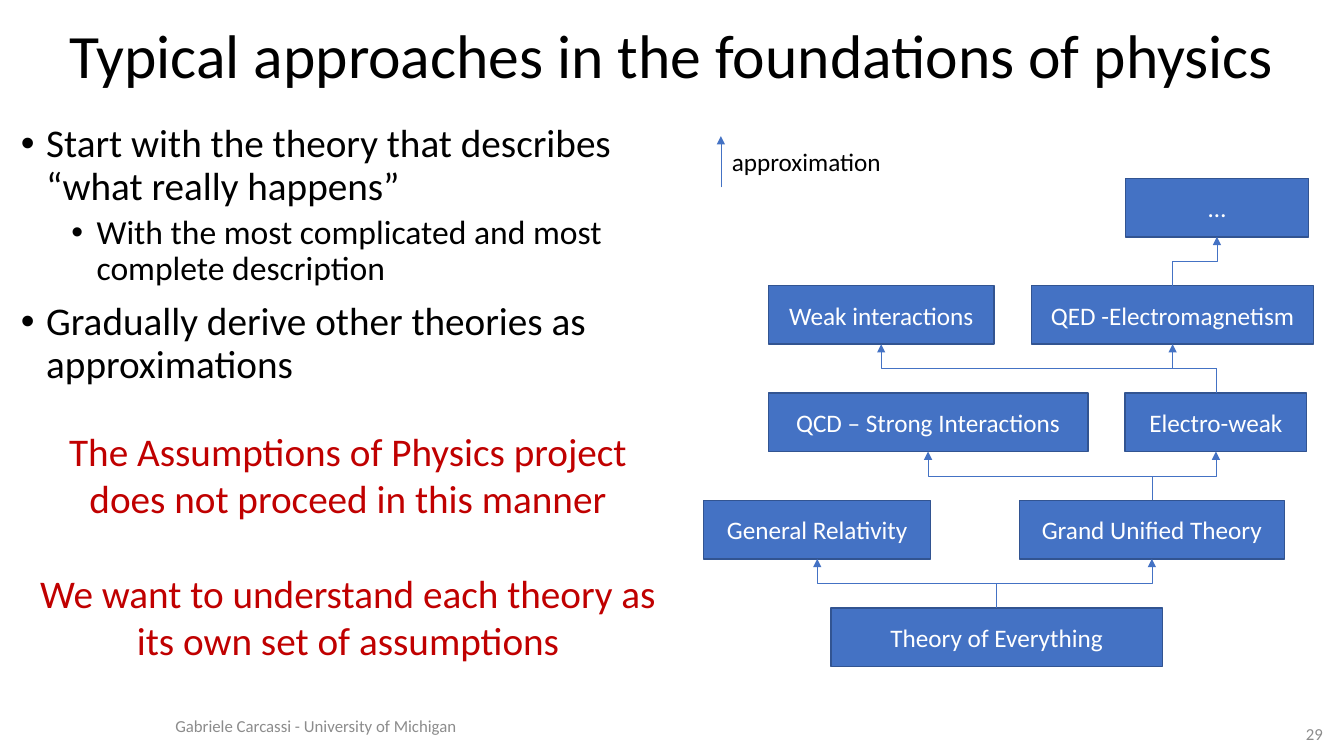
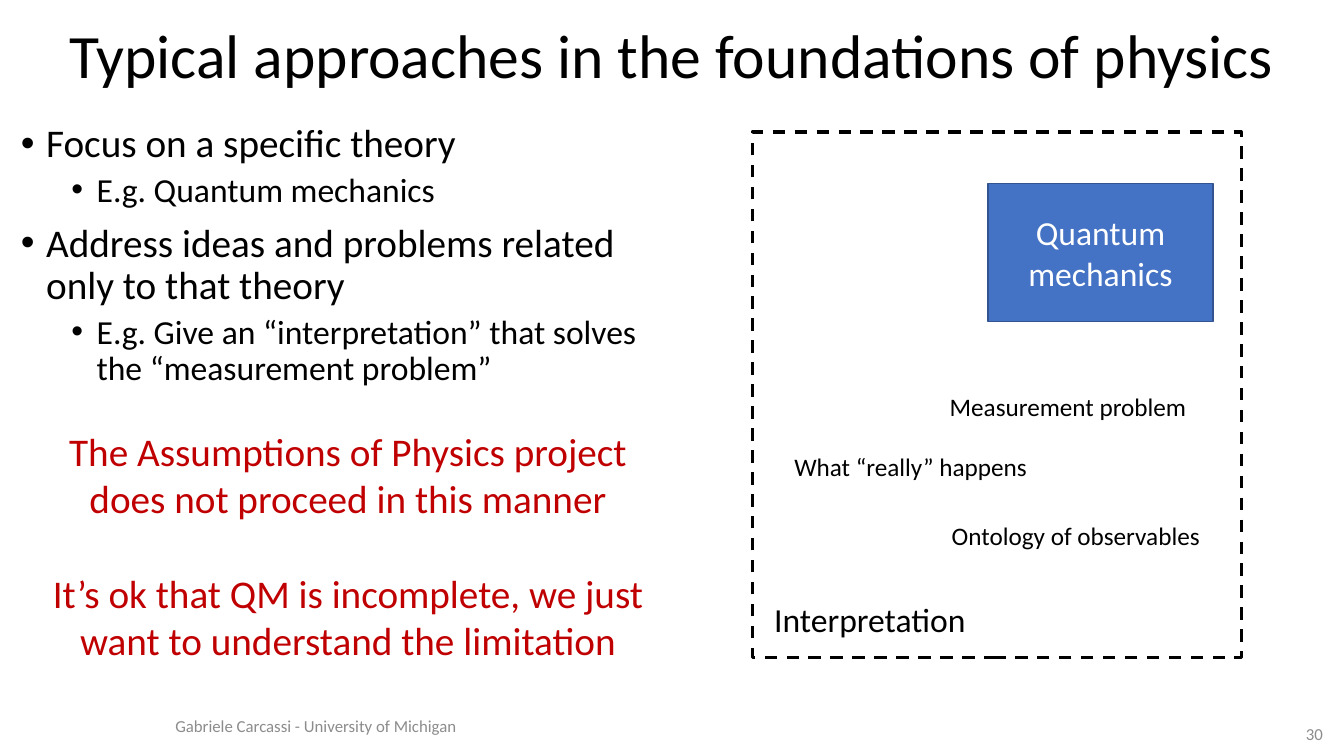
"""Build two slides on typical approaches in the foundations of physics."""
from lxml.etree import SubElement
from pptx import Presentation
from pptx.dml.color import RGBColor
from pptx.enum.dml import MSO_LINE
from pptx.enum.shapes import MSO_CONNECTOR, MSO_SHAPE
from pptx.enum.text import MSO_ANCHOR, PP_ALIGN
from pptx.oxml.ns import qn
from pptx.util import Inches, Pt

COLORS = {"black": "000000", "white": "FFFFFF", "blue": "4472C4",
          "edge": "325491", "red": "C00000", "grey": "8C8C8C"}
FONT = "Calibri"
TITLE = "Typical approaches in the foundations of physics"
FOOTER = "Gabriele Carcassi - University of Michigan"
REMARK = "The Assumptions of Physics project does not proceed in this manner"

DERIVATION = {
    "number": "29",
    "bullets": [
        (0, "Start with the theory that describes “what really happens”"),
        (1, "With the most complicated and most complete description"),
        (0, "Gradually derive other theories as approximations"),
    ],
    "aim": "We want to understand each theory as its own set of assumptions",
}
INTERPRETATION = {
    "number": "30",
    "bullets": [
        (0, "Focus on a specific theory"),
        (1, "E.g. Quantum mechanics"),
        (0, "Address ideas and problems related only to that theory"),
        (1, "E.g. Give an “interpretation” that solves the “measurement problem”"),
    ],
    "aim": "It’s ok that QM is incomplete, we just want to understand the limitation",
}

# name: (level above the bottom, left, width)
THEORIES = {
    "Theory of Everything": (0, 8.24, 3.29),
    "General Relativity": (1, 6.98, 2.25),
    "Grand Unified Theory": (1, 10.11, 2.63),
    "Electro-weak": (2, 11.16, 1.8),
    "QCD – Strong Interactions": (2, 7.62, 3.17),
    "QED -Electromagnetism": (3, 10.23, 2.8),
    "Weak interactions": (3, 7.62, 2.24),
    "…": (4, 11.16, 1.82),
}
APPROXIMATIONS = {
    "Theory of Everything": ["General Relativity", "Grand Unified Theory"],
    "Grand Unified Theory": ["Electro-weak", "QCD – Strong Interactions"],
    "Electro-weak": ["QED -Electromagnetism", "Weak interactions"],
    "QED -Electromagnetism": ["…"],
}
BOTTOM_TOP, LEVEL_STEP, THEORY_HEIGHT = 6.03, 1.065, 0.58

# text, left, top, width, height, size
ISSUES = [
    ("Interpretation", 7.58, 5.89, 2.12, 0.5, 24),
    ("Measurement problem", 9.32, 3.83, 2.58, 0.4, 18),
    ("What “really” happens", 7.78, 4.43, 2.54, 0.4, 18),
    ("Ontology of observables", 9.34, 5.11, 2.69, 0.4, 18),
]


def color(name):
    return RGBColor.from_string(COLORS[name])


def write(shape, *texts, size=18, ink="black", align=PP_ALIGN.LEFT,
          anchor=MSO_ANCHOR.TOP, wrap=True, spacing=None, gap=0):
    """Fill a shape with one formatted paragraph per text; return them."""
    frame = shape.text_frame
    frame.word_wrap = wrap
    frame.vertical_anchor = anchor
    for index, text in enumerate(texts):
        para = frame.add_paragraph() if index else frame.paragraphs[0]
        para.alignment = align
        para.line_spacing = spacing
        para.space_before = Pt(gap if index else 0)
        span = para.add_run()
        span.text = text
        span.font.name = FONT
        span.font.size = Pt(size)
        span.font.color.rgb = color(ink)
    return frame.paragraphs


def add_text(page, place, *texts, **style):
    box = page.shapes.add_textbox(*map(Inches, place))
    return write(box, *texts, **style)


def add_box(page, place, fill="blue", edge="edge", weight=1):
    box = page.shapes.add_shape(MSO_SHAPE.RECTANGLE, *map(Inches, place))
    box.shadow.inherit = False
    if fill:
        box.fill.solid()
        box.fill.fore_color.rgb = color(fill)
    else:
        box.fill.background()
    box.line.color.rgb = color(edge)
    box.line.width = Pt(weight)
    return box


def add_label_box(page, place, text, size):
    box = add_box(page, place)
    write(box, text, size=size, ink="white", align=PP_ALIGN.CENTER,
          anchor=MSO_ANCHOR.MIDDLE)
    return box


def add_arrow(page, kind, start, end):
    arrow = page.shapes.add_connector(kind, *start, *end)
    arrow.line.color.rgb = color("blue")
    arrow.line.width = Pt(0.5)
    SubElement(arrow.line._get_or_add_ln(), qn("a:tailEnd"), type="triangle")
    SubElement(arrow.element.spPr, qn("a:effectLst"))
    return arrow


def join_upward(page, source, target):
    """Run an elbow arrow from the top of source to the bottom of target."""
    x1, y1 = source.left + source.width // 2, source.top
    x2, y2 = target.left + target.width // 2, target.top + target.height
    arrow = add_arrow(page, MSO_CONNECTOR.ELBOW, (x1, y1), (x2, y2))
    arrow.begin_connect(source, 0)
    arrow.end_connect(target, 2)
    rise, run = y1 - y2, abs(x2 - x1)
    arrow.left, arrow.top = (x1 + x2 - rise) // 2, (y1 + y2 - run) // 2
    arrow.width, arrow.height = rise, run
    rightward = x2 > x1
    frame = arrow.element.spPr.find(qn("a:xfrm"))
    frame.set("rot", str((90 if rightward else 270) * 60000))
    frame.set("flipH", "1" if rightward else "0")
    frame.set("flipV", "1")


def add_bullets(page, bullets):
    paras = add_text(page, (0.11, 1.18, 6.55, 5.7),
                     *[text for _, text in bullets], spacing=0.9)
    for para, (level, _) in zip(paras, bullets):
        para.level = level
        para.space_before = Pt(5 if level else 10)
        para.runs[0].font.size = Pt(24 if level else 28)
        properties = para._p.get_or_add_pPr()
        properties.set("marL", str(Inches(0.25 + 0.5 * level)))
        properties.set("indent", str(Inches(-0.25)))
        SubElement(properties, qn("a:buFont"), typeface="Arial")
        SubElement(properties, qn("a:buChar"), char="•")


def add_page(deck, content):
    """Add a slide with the title, bullets, remarks and footer."""
    page = deck.slides.add_slide(deck.slide_layouts[6])
    middle = MSO_ANCHOR.MIDDLE
    add_text(page, (0.11, 0.09, 13.11, 0.98), TITLE, size=44,
             align=PP_ALIGN.CENTER, anchor=middle, spacing=0.9)
    add_bullets(page, content["bullets"])
    add_text(page, (1.64, 7, 6.53, 0.4), FOOTER, size=12, ink="grey",
             anchor=middle)
    add_text(page, (12.61, 7.15, 0.61, 0.25), content["number"], size=12,
             ink="grey", align=PP_ALIGN.RIGHT, anchor=middle)
    add_text(page, (0.24, 4.19, 6.42, 2.46), REMARK, content["aim"], size=28,
             ink="red", align=PP_ALIGN.CENTER, gap=34)
    return page


def draw_theories(page):
    boxes = {}
    for name, (level, left, width) in THEORIES.items():
        top = BOTTOM_TOP - level * LEVEL_STEP
        boxes[name] = add_label_box(
            page, (left, top, width, THEORY_HEIGHT), name, 18)
    for source, targets in APPROXIMATIONS.items():
        for target in targets:
            join_upward(page, boxes[source], boxes[target])
    add_arrow(page, MSO_CONNECTOR.STRAIGHT, (Inches(7.15), Inches(1.86)),
              (Inches(7.15), Inches(1.35)))
    add_text(page, (7.16, 1.4, 1.7, 0.4), "approximation", wrap=False)


def draw_interpretation(page):
    add_label_box(page, (9.8, 1.82, 2.23, 1.37), "Quantum mechanics", 24)
    border = add_box(page, (7.46, 1.31, 4.85, 5.21), fill=None,
                     edge="black", weight=2.25)
    border.line.dash_style = MSO_LINE.DASH
    for text, *place, size in ISSUES:
        add_text(page, place, text, size=size, wrap=False)


def main():
    deck = Presentation()
    deck.slide_width, deck.slide_height = Inches(13.33), Inches(7.5)
    draw_theories(add_page(deck, DERIVATION))
    draw_interpretation(add_page(deck, INTERPRETATION))
    deck.save("out.pptx")


if __name__ == "__main__":
    main()
